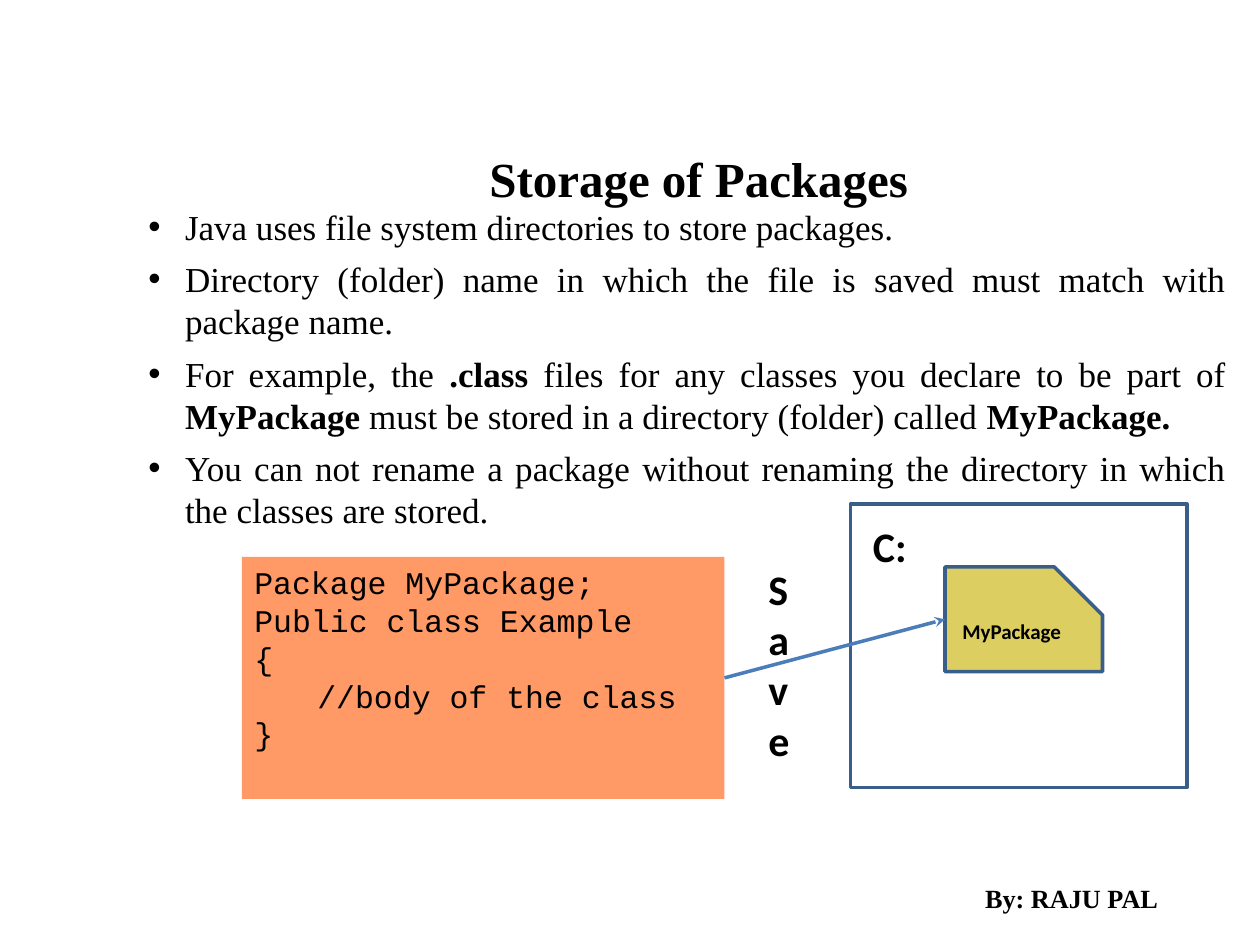
import pptx
import pptx.util
import pptx.dml.color
import pptx.enum.shapes
import pptx.enum.text
import pptx.oxml
import pptx.oxml.ns

Inches = pptx.util.Inches
Pt = pptx.util.Pt
SHAPE = pptx.enum.shapes.MSO_SHAPE
ALIGN = pptx.enum.text.PP_ALIGN
ANCHOR = pptx.enum.text.MSO_ANCHOR
qn = pptx.oxml.ns.qn

SERIF = {"name": "Times New Roman", "bold": True}
SANS = {"name": "Calibri", "bold": True}
CODE = {"name": "Courier New", "size": Pt(18), "bold": False}
BORDER = "395E89"

BULLETS = [
    [("Java uses file system directories to store packages.", False)],
    [("Directory (folder) name in which the file is saved must match with package name.", False)],
    [("For example, the ", False), (".class", True),
     (" files for any classes you declare to be part of ", False), ("MyPackage ", True),
     ("must be stored in a directory (folder) called ", False), ("MyPackage.", True)],
    [("You can not rename a package without renaming the directory in which "
      "the classes are stored.", False)],
]
CODE_LINES = ["Package MyPackage;", "Public class Example", "{", "\t//body of the class", "}"]


def rgb(value):
    return pptx.dml.color.RGBColor.from_string(value)


def place(s, left, top, width, height):
    s.left, s.top, s.width, s.height = map(Inches, (left, top, width, height))


def add_run(p, text, font):
    r = p.add_run()
    r.text = text
    for name, value in font.items():
        setattr(r.font, name, value)
    r.font.color.rgb = rgb("000000")


def write_lines(s, lines, font, align=ALIGN.LEFT, anchor=ANCHOR.TOP):
    tf = s.text_frame
    tf.word_wrap = True
    tf.auto_size = pptx.enum.text.MSO_AUTO_SIZE.NONE
    tf.vertical_anchor = anchor
    for i, line in enumerate(lines):
        p = tf.paragraphs[0] if i == 0 else tf.add_paragraph()
        p.alignment = align
        add_run(p, line, font)


def add_text(slide, box, text, font, **layout):
    s = slide.shapes.add_textbox(*map(Inches, box))
    write_lines(s, [text], font, **layout)


def add_block(slide, kind, box, fill=None, line=None):
    s = slide.shapes.add_shape(kind, *map(Inches, box))
    s.shadow.inherit = False
    if fill:
        s.fill.solid()
        s.fill.fore_color.rgb = rgb(fill)
    else:
        s.fill.background()
    if line:
        s.line.color.rgb = rgb(line)
        s.line.width = Pt(2)
    else:
        s.line.fill.background()
    return s


def add_bullets(slide, box, items):
    tf = slide.shapes.add_textbox(*map(Inches, box)).text_frame
    tf.word_wrap = True
    for i, item in enumerate(items):
        p = tf.paragraphs[0] if i == 0 else tf.add_paragraph()
        p.alignment = ALIGN.JUSTIFY
        if i:
            p.space_before = Pt(6)
        pPr = p._p.get_or_add_pPr()
        pPr.set("marL", str(Inches(0.29)))
        pPr.set("indent", str(-Inches(0.29)))
        color = pptx.oxml.ns.nsdecls("a")
        pPr.append(pptx.oxml.parse_xml(
            f'<a:buClr {color}><a:srgbClr val="000000"/></a:buClr>'))
        pPr.append(pptx.oxml.parse_xml(f'<a:buFont {color} typeface="Arial"/>'))
        pPr.append(pptx.oxml.parse_xml(f'<a:buChar {color} char="•"/>'))
        for text, bold in item:
            add_run(p, text, {**SERIF, "size": Pt(20), "bold": bold})


def add_arrow(slide, source, target):
    c = slide.shapes.add_connector(pptx.enum.shapes.MSO_CONNECTOR.STRAIGHT, 0, 0, 0, 0)
    c.begin_connect(source, 3)
    c.end_connect(target, 1)
    c.line.color.rgb = rgb("4A7DBA")
    c.line.width = Pt(2)
    c.line._get_or_add_ln().append(pptx.oxml.parse_xml(
        f'<a:tailEnd {pptx.oxml.ns.nsdecls("a")} type="stealth"/>'))
    c._element.spPr.append(c._element.makeelement(qn("a:effectLst"), {}))


def main():
    prs = pptx.Presentation()
    prs.slide_width, prs.slide_height = Inches(10), Inches(7.5)
    slide = prs.slides.add_slide(prs.slide_layouts[5])

    title = slide.shapes.title
    place(title, 1.67, 1.08, 7.75, 0.58)
    write_lines(title, ["Storage of Packages"], {**SERIF, "size": Pt(28)}, ALIGN.CENTER)
    title.text_frame.paragraphs[0].line_spacing = 1.1

    add_text(slide, (7.42, 7, 2.17, 0.25), "By: RAJU PAL", {**SERIF, "size": Pt(15)},
             align=ALIGN.CENTER, anchor=ANCHOR.MIDDLE)
    add_bullets(slide, (1.08, 1.58, 8.75, 5.92), BULLETS)

    code = add_block(slide, SHAPE.RECTANGLE, (1.92, 4.42, 3.83, 1.92), fill="FF9966")
    write_lines(code, CODE_LINES, CODE)
    add_block(slide, SHAPE.RECTANGLE, (6.75, 4, 2.67, 2.25), line=BORDER)
    folder = add_block(slide, SHAPE.SNIP_1_RECTANGLE, (7.5, 4.5, 1.25, 0.83),
                       fill="DDCE61", line=BORDER)
    folder.adjustments[0] = 0.46
    write_lines(folder, ["MyPackage"], {**SANS, "size": Pt(12)}, ALIGN.CENTER, ANCHOR.MIDDLE)
    add_arrow(slide, code, folder)

    add_text(slide, (6, 4.42, 0.5, 1.72), "Save", {**SANS, "size": Pt(24)})
    add_text(slide, (6.83, 4.08, 0.5, 0.5), "C:", {**SANS, "size": Pt(24)})
    prs.save("out.pptx")


if __name__ == "__main__":
    main()
